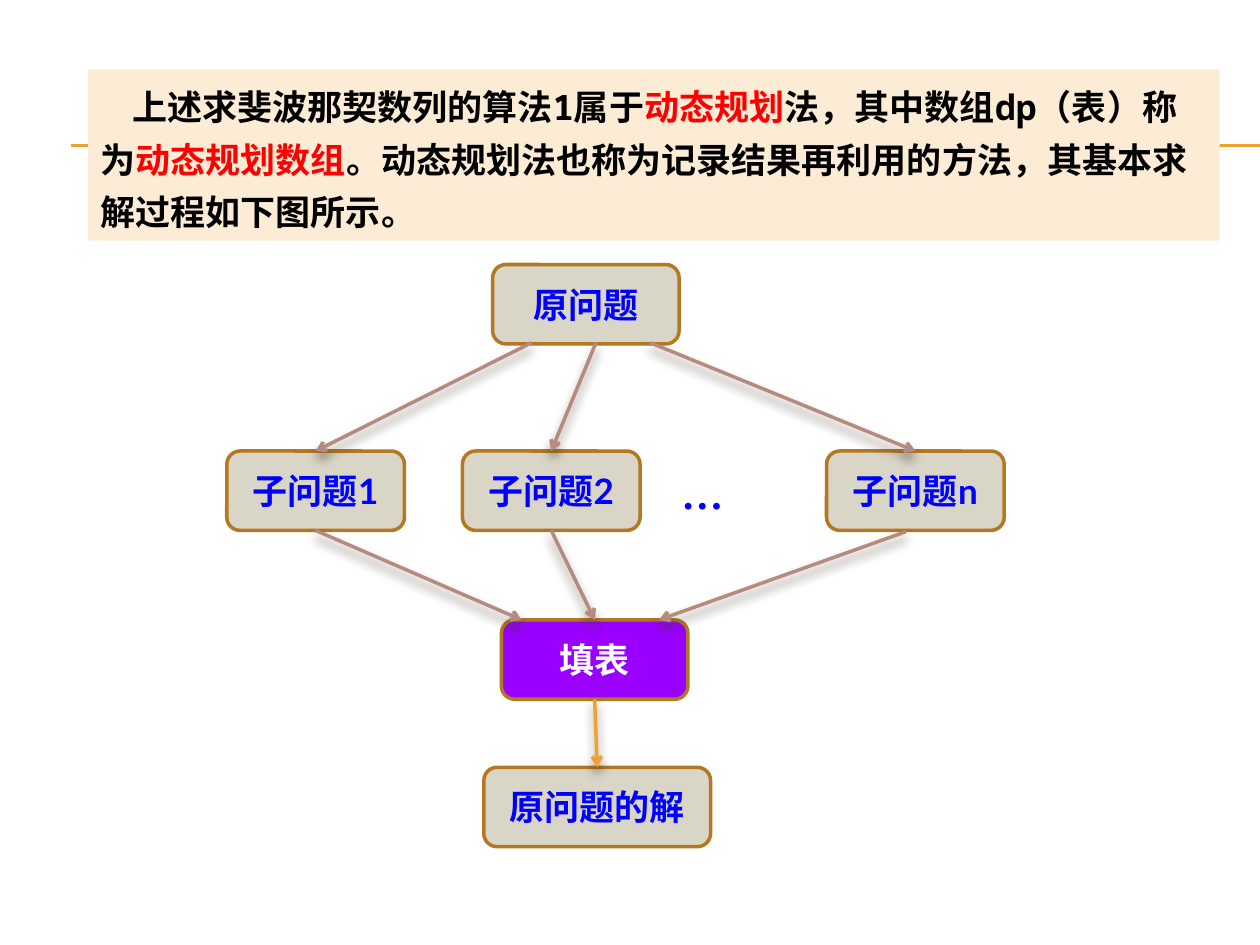
from lxml import etree
from pptx import Presentation
from pptx.dml.color import RGBColor
from pptx.enum.shapes import MSO_CONNECTOR, MSO_SHAPE
from pptx.enum.text import MSO_ANCHOR, PP_ALIGN
from pptx.oxml.ns import qn
from pptx.util import Inches, Pt

LINE = MSO_CONNECTOR.STRAIGHT
RECT, ROUND = MSO_SHAPE.RECTANGLE, MSO_SHAPE.ROUNDED_RECTANGLE
LEFT, CENTER = PP_ALIGN.LEFT, PP_ALIGN.CENTER
TOP, MIDDLE = MSO_ANCHOR.TOP, MSO_ANCHOR.MIDDLE

BLACK, RED, BLUE, WHITE = "000000", "FF0000", "0000FF", "FFFFFF"
CREAM, GREY, PURPLE = "FCECD5", "D9D5C7", "9900FF"
BROWN, ROSE, ORANGE, SHADE = "B27822", "B58B80", "F0A22E", "4E3B30"

INTRO = [
    ("上述求斐波那契数列的算法1属于", BLACK),
    ("动态规划", RED),
    ("法，其中数组dp（表）称为", BLACK),
    ("动态规划数组", RED),
    ("。动态规划法也称为记录结果再利用的方法，其基本求解过程如下图所示。", BLACK),
]
HEIGHT = 0.63
# name: text, left, top, width, fill, text colour
NODES = {
    "root": ("原问题", 3.91, 2.1, 1.48, GREY, BLUE),
    "sub1": ("子问题1", 1.8, 3.58, 1.41, GREY, BLUE),
    "sub2": ("子问题2", 3.67, 3.58, 1.41, GREY, BLUE),
    "subn": ("子问题n", 6.56, 3.58, 1.41, GREY, BLUE),
    "table": ("填表", 3.98, 4.92, 1.48, PURPLE, WHITE),
    "answer": ("原问题的解", 3.84, 6.09, 1.8, GREY, BLUE),
}
# An end is a node, joined at its middle, or a free point
ARROWS = [
    ((4.22, 2.72), "sub1", ROSE),
    ((4.73, 2.72), "sub2", ROSE),
    ((5.16, 2.72), "subn", ROSE),
    ("sub1", (4.14, 4.92), ROSE),
    ("sub2", "table", ROSE),
    ((7.19, 4.22), (5.23, 4.92), ROSE),
    ("table", "answer", ORANGE),
]


def rgb(code):
    return RGBColor.from_string(code)


def write(shape, runs, size=20, font="Lato", align=CENTER, anchor=MIDDLE,
          space=None, indent=None):
    """Fill a shape with one bold paragraph of (text, colour) runs."""
    frame = shape.text_frame
    frame.word_wrap = True
    frame.vertical_anchor = anchor
    para = frame.paragraphs[0]
    para.alignment = align
    if space:
        para.line_spacing = Pt(space)
    if indent:
        para._p.get_or_add_pPr().set("indent", str(Inches(indent)))
    for text, color in runs:
        run = para.add_run()
        run.text = text
        run.font.name, run.font.size, run.font.bold = font, Pt(size), True
        run.font.color.rgb = rgb(color)


def box(slide, kind, place, fill, line=None):
    shape = slide.shapes.add_shape(kind, *map(Inches, place))
    shape.shadow.inherit = False
    shape.fill.solid()
    shape.fill.fore_color.rgb = rgb(fill)
    if line:
        shape.line.color.rgb = rgb(line)
        shape.line.width = Pt(2)
    else:
        shape.line.fill.background()
    return shape


def rule(slide, start, end, color, width):
    """Draw a straight line; return it with its empty effect list."""
    line = slide.shapes.add_connector(LINE, *map(Inches, (*start, *end)))
    line.line.color.rgb = rgb(color)
    line.line.width = Pt(width)
    effects = etree.SubElement(line._element.spPr, qn("a:effectLst"))
    return line, effects


def spot(end, side):
    """Give the point of an arrow's end; side is 0 for top, 2 for bottom."""
    if end not in NODES:
        return end
    _, left, top, width, *_ = NODES[end]
    return left + width / 2, top + HEIGHT * side / 2


def arrow(slide, shapes, start, end, color):
    line, effects = rule(slide, spot(start, 2), spot(end, 0), color, 2)
    if start in shapes:
        line.begin_connect(shapes[start], 2)
    if end in shapes:
        line.end_connect(shapes[end], 0)
    etree.SubElement(line.line._get_or_add_ln(), qn("a:tailEnd"), type="arrow")
    shadow = etree.SubElement(
        effects, qn("a:outerShdw"), blurRad=str(Pt(6)), dist=str(Pt(4)),
        dir=str(90 * 60000), rotWithShape="0")
    tint = etree.SubElement(shadow, qn("a:srgbClr"), val=SHADE)
    etree.SubElement(tint, qn("a:alpha"), val="60000")


def main():
    deck = Presentation()
    deck.slide_width, deck.slide_height = Inches(10), Inches(7.5)
    slide = deck.slides.add_slide(deck.slide_layouts[6])

    for y in (1.15, 1.16):
        rule(slide, (0.56, y), (10, y), ORANGE, 0.75)
    intro = box(slide, RECT, (0.7, 0.55, 8.98, 1.36), CREAM)
    write(intro, INTRO, font="Noto Sans Mono", align=LEFT, anchor=TOP,
          space=30, indent=0.25)

    shapes = {}
    for name, (text, left, top, width, fill, color) in NODES.items():
        shapes[name] = box(slide, ROUND, (left, top, width, HEIGHT), fill, BROWN)
        write(shapes[name], [(text, color)])
    dots = slide.shapes.add_textbox(*map(Inches, (5.31, 3.66, 1.09, 0.5)))
    write(dots, [("…", BLUE)], size=24, font="Times New Roman", align=LEFT,
          anchor=TOP)

    for start, end, color in ARROWS:
        arrow(slide, shapes, start, end, color)
    deck.save("out.pptx")


if __name__ == "__main__":
    main()
